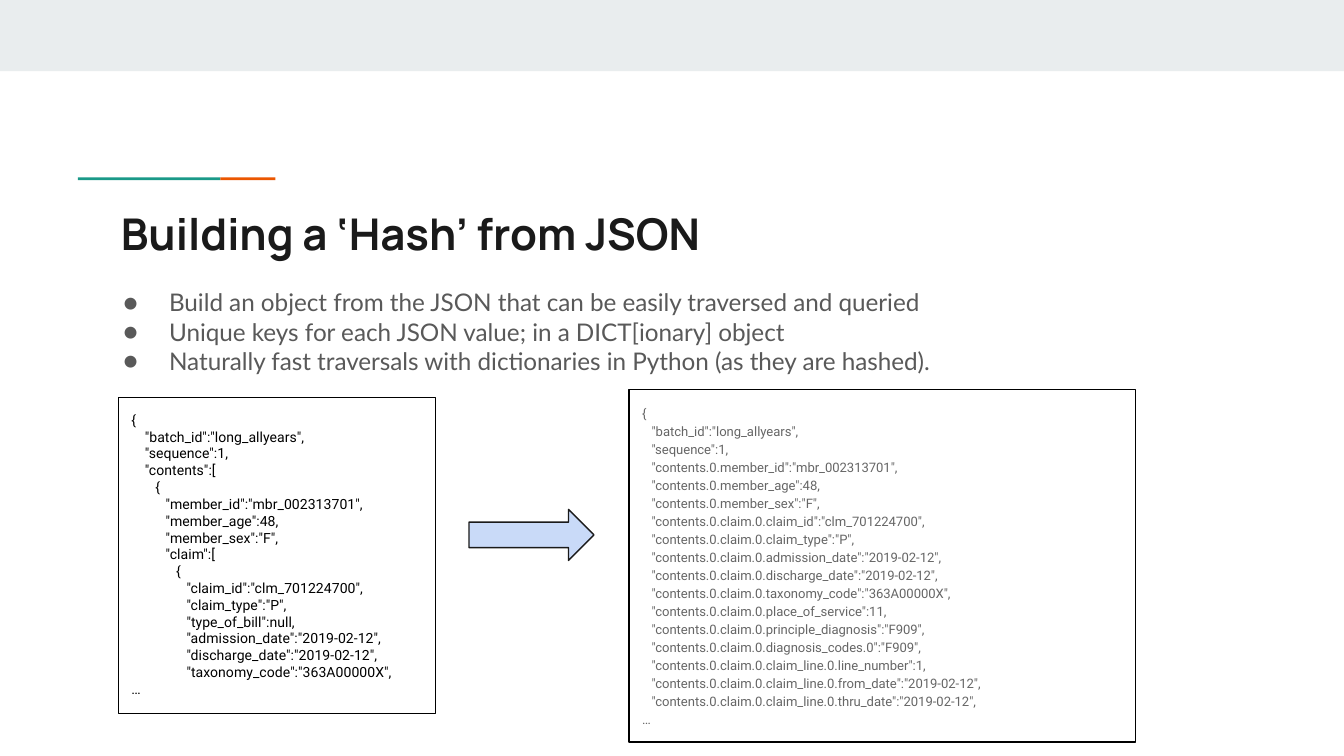
from pptx import Presentation
from pptx.dml.color import RGBColor
from pptx.enum.shapes import MSO_SHAPE as Shape
from pptx.enum.text import MSO_ANCHOR as Anchor, PP_ALIGN as Align
from pptx.oxml.xmlchemy import OxmlElement
from pptx.util import Inches, Pt


def add_block(kind, box, fill=None, line=None):
    shape = slide.shapes.add_shape(kind, *map(Inches, box))
    shape.shadow.inherit = False
    if fill:
        shape.fill.solid()
        shape.fill.fore_color.rgb = RGBColor.from_string(fill)
    else:
        shape.fill.background()
    if line:
        shape.line.color.rgb = RGBColor.from_string(line)
        shape.line.width = Pt(0.75)
    else:
        shape.line.fill.background()
    return shape


def write_lines(shape, lines, font, color, spacing=1.0, bullet=None):
    """Write (text, left margin, first-line indent) tuples as paragraphs."""
    frame = shape.text_frame
    frame_format = {"word_wrap": True, "vertical_anchor": Anchor.TOP}
    for side in ("left", "right", "top", "bottom"):
        frame_format[f"margin_{side}"] = Inches(0.1)
    for name, value in frame_format.items():
        setattr(frame, name, value)
    for index, (text, margin, indent) in enumerate(lines):
        paragraph = frame.add_paragraph() if index else frame.paragraphs[0]
        paragraph.alignment = Align.LEFT
        paragraph.line_spacing = spacing
        paragraph.space_before = Pt(0)
        run = paragraph.add_run()
        run.text = text
        for name, value in font.items():
            setattr(run.font, name, value)
        run.font.color.rgb = RGBColor.from_string(color)
        properties = paragraph._p.get_or_add_pPr()
        properties.set("marL", str(Inches(margin)))
        properties.set("indent", str(Inches(indent)))
        if bullet:
            for tag, key, value in (("a:buFont", "typeface", font["name"]),
                                    ("a:buChar", "char", bullet)):
                mark = OxmlElement(tag)
                mark.set(key, value)
                properties.append(mark)


presentation = Presentation()
presentation.slide_width = Inches(10)
presentation.slide_height = Inches(10 * 9 / 16)
slide = presentation.slides.add_slide(presentation.slide_layouts[5])

# Header band and two-colour accent rule
add_block(Shape.RECTANGLE, (0, 0, 10, 0.53), "E9EDEE")
add_block(Shape.RECTANGLE, (0.58, 1.32, 1.06, 0.02), "1A9988")
add_block(Shape.RECTANGLE, (1.64, 1.32, 0.41, 0.02), "EB5600")

title = slide.shapes.title
title_box = {"left": 0.8, "top": 1.44, "width": 8.41, "height": 0.59}
for name, value in title_box.items():
    setattr(title, name, Inches(value))
write_lines(title, [("Building a ‘Hash’ from JSON", 0, 0)],
            {"name": "Manrope", "size": Pt(23.4), "bold": True}, "1A1A1A")

points = [
    "Build an object from the JSON that can be easily traversed and queried",
    "Unique keys for each JSON value; in a DICT[ionary] object",
    "Naturally fast traversals with dictionaries in Python (as they are hashed).",
]
body = slide.shapes.add_textbox(*map(Inches, (0.66, 2.04, 8.55, 0.91)))
write_lines(body, [(point, 0.5, -0.34) for point in points],
            {"name": "Lato", "size": Pt(13)}, "595959", bullet="●")

# Nested JSON: each opening bracket indents the lines after it
nested_json = """{
"batch_id":"long_allyears",
"sequence":1,
"contents":[
{
"member_id":"mbr_002313701",
"member_age":48,
"member_sex":"F",
"claim":[
{
"claim_id":"clm_701224700",
"claim_type":"P",
"type_of_bill":null,
"admission_date":"2019-02-12",
"discharge_date":"2019-02-12",
"taxonomy_code":"363A00000X",
…"""
nested_lines = []
depth = 0
for text in nested_json.splitlines():
    margin = 0.1 + 0.31 * (depth - 1) / 4 if depth and text != "…" else 0
    nested_lines.append((text, margin, 0))
    depth += text.endswith(("{", "["))
nested_box = add_block(Shape.RECTANGLE, (0.88, 2.96, 2.36, 2.35), line="000000")
write_lines(nested_box, nested_lines, {"name": "Roboto", "size": Pt(7.5)}, "000000")

# Flat hash: every value under one unique key
member, claim = "contents.0.", "contents.0.claim.0."
claim_line = claim + "claim_line.0."
hash_entries = [
    ("batch_id", '"long_allyears"'),
    ("sequence", "1"),
    (member + "member_id", '"mbr_002313701"'),
    (member + "member_age", "48"),
    (member + "member_sex", '"F"'),
    (claim + "claim_id", '"clm_701224700"'),
    (claim + "claim_type", '"P"'),
    (claim + "admission_date", '"2019-02-12"'),
    (claim + "discharge_date", '"2019-02-12"'),
    (claim + "taxonomy_code", '"363A00000X"'),
    (claim + "place_of_service", "11"),
    (claim + "principle_diagnosis", '"F909"'),
    (claim + "diagnosis_codes.0", '"F909"'),
    (claim_line + "line_number", "1"),
    (claim_line + "from_date", '"2019-02-12"'),
    (claim_line + "thru_date", '"2019-02-12"'),
]
hash_lines = [(f'"{key}":{value},', 0.07, 0) for key, value in hash_entries]
hash_box = add_block(Shape.RECTANGLE, (4.68, 2.9, 3.77, 2.62), line="000000")
write_lines(hash_box, [("{", 0, 0), *hash_lines, ("…", 0, 0)],
            {"name": "Roboto", "size": Pt(7)}, "666666", spacing=1.15)

add_block(Shape.RIGHT_ARROW, (3.49, 3.79, 0.93, 0.38), "C9DAF8", "1A1A1A")

presentation.save("out.pptx")
